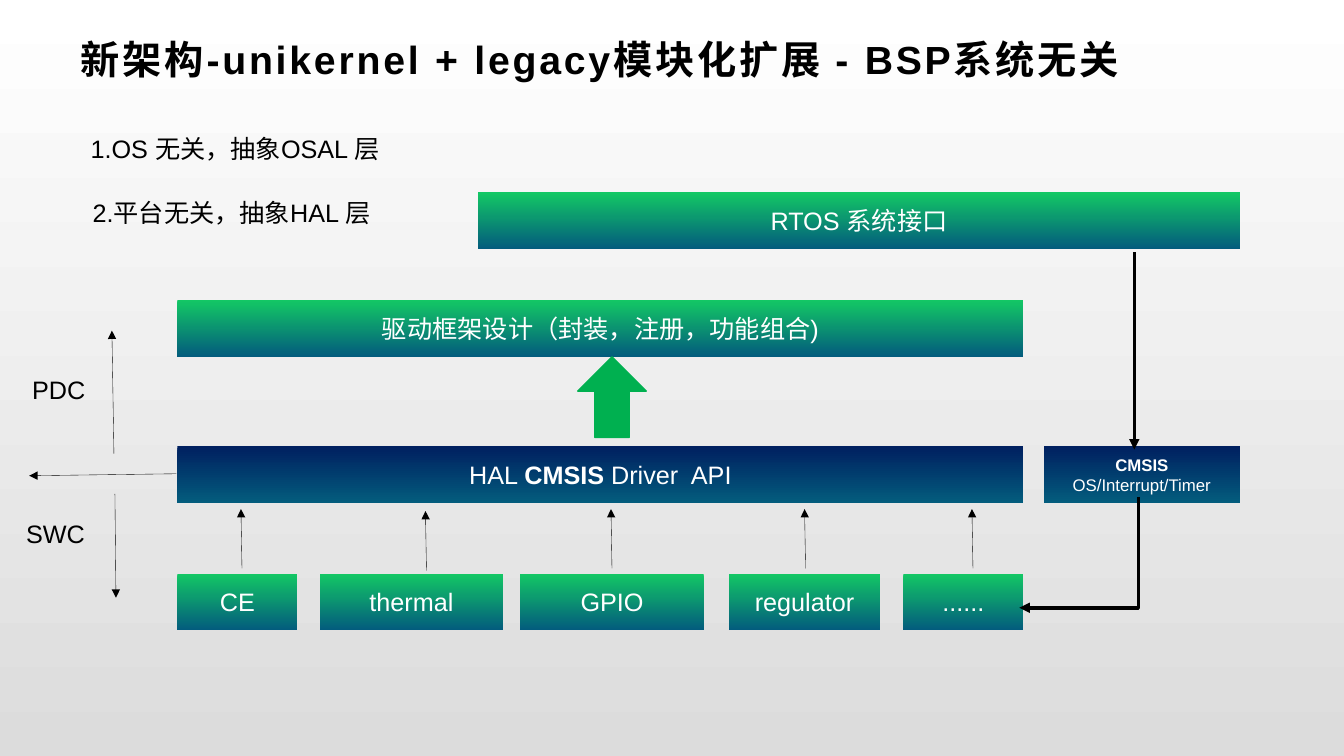
import pptx
import pptx.util
import pptx.dml.color
import pptx.enum.shapes
import pptx.enum.text
import pptx.oxml
import pptx.oxml.ns

Inches = pptx.util.Inches
Pt = pptx.util.Pt
RGBColor = pptx.dml.color.RGBColor
SHAPE = pptx.enum.shapes.MSO_SHAPE
LINK = pptx.enum.shapes.MSO_CONNECTOR
ALIGN = pptx.enum.text.PP_ALIGN
ANCHOR = pptx.enum.text.MSO_ANCHOR

BLACK = RGBColor(0x00, 0x00, 0x00)
WHITE = RGBColor(0xFF, 0xFF, 0xFF)
GREY = RGBColor(0xDC, 0xDC, 0xDC)
GREEN = RGBColor(0x13, 0xC7, 0x65)
NAVY = RGBColor(0x00, 0x20, 0x60)
TEAL = RGBColor(0x03, 0x5C, 0x7D)
ARROW = RGBColor(0x00, 0xB0, 0x50)

BAR_H = 0.56
LEFT, WIDTH = 1.76, 8.39
HAL_Y, MOD_Y = 4.43, 5.69

# name, left, width, arrow x, arrow top
MODULES = [
    ("CE", 1.76, 1.19, 2.4, 5.05),
    ("thermal", 3.17, 1.82, 4.23, 5.07),
    ("GPIO", 5.16, 1.82, 6.07, 5.05),
    ("regulator", 7.23, 1.5, 7.99, 5.05),
    ("......", 8.96, 1.19, 9.65, 5.05),
]
LABELS = [
    ("1.OS 无关，抽象OSAL 层", 0.8, 1.27, 3.38),
    ("2.平台无关，抽象HAL 层", 0.82, 1.91, 3.38),
    ("PDC", 0.22, 3.66, 0.83),
    ("SWC", 0.16, 5.09, 0.83),
]
AXES = [
    ((1.13, 4.5), (1.11, 3.28)),
    ((1.14, 4.9), (1.15, 5.93)),
    ((1.75, 4.7), (0.29, 4.72)),
]


def shade(fill, top, low):
    """Fill from the top colour down to the low one."""
    fill.gradient()
    fill.gradient_angle = 270
    for stop, color in zip(fill.gradient_stops, (top, low)):
        stop.color.rgb = color


def write(frame, parts, size, color):
    """Write one paragraph; every second part is bold if there are several."""
    frame.word_wrap = True
    para = frame.paragraphs[0]
    para.font.name = "Arial"
    para.font.size = Pt(size)
    para.font.color.rgb = color
    for text, bold in parts:
        run = para.add_run()
        run.text = text
        run.font.bold = bold
    return para


def add_text(slide, text, x, y, w, h=0.4, size=18, bold=False):
    box = slide.shapes.add_textbox(Inches(x), Inches(y), Inches(w), Inches(h))
    write(box.text_frame, [(text, bold)], size, BLACK)
    return box.text_frame


def add_title(slide, text):
    frame = add_text(slide, text, 0.69, 0.23, 12.1, 0.71, 28, True)
    frame.vertical_anchor = ANCHOR.MIDDLE
    frame.margin_left, frame.margin_right = Inches(0.11), Inches(0.08)
    frame.margin_top = frame.margin_bottom = Inches(0.04)
    frame.paragraphs[0].runs[0]._r.get_or_add_rPr().set("spc", "200")


def add_bar(slide, parts, x, y, w, top=GREEN, size=18):
    bar = slide.shapes.add_shape(
        SHAPE.RECTANGLE, Inches(x), Inches(y), Inches(w), Inches(BAR_H))
    bar.shadow.inherit = False
    shade(bar.fill, top, TEAL)
    bar.line.fill.background()
    bar.text_frame.vertical_anchor = ANCHOR.MIDDLE
    write(bar.text_frame, parts, size, WHITE).alignment = ALIGN.CENTER


def add_arrow(slide, start, end, width=0.25):
    line = slide.shapes.add_connector(
        LINK.STRAIGHT, *(Inches(v) for v in (*start, *end)))
    line.line.color.rgb = BLACK
    line.line.width = Pt(width)
    head = pptx.oxml.parse_xml(
        f'<a:tailEnd {pptx.oxml.ns.nsdecls("a")} type="triangle"/>')
    line.line._get_or_add_ln().append(head)
    line._element.spPr.append(pptx.oxml.parse_xml(
        f'<a:effectLst {pptx.oxml.ns.nsdecls("a")}/>'))
    return line


def add_bend(slide, start, end, width):
    """Arrow that runs down, then left: a one-corner elbow turned by 90°."""
    (x1, y1), (x2, y2) = start, end
    mid_x, mid_y = (x1 + x2) / 2, (y1 + y2) / 2
    half_w, half_h = (y2 - y1) / 2, (x1 - x2) / 2
    line = add_arrow(slide, (mid_x - half_w, mid_y - half_h),
                     (mid_x + half_w, mid_y + half_h), width)
    props = line._element.spPr
    props.find(pptx.oxml.ns.qn("a:prstGeom")).set("prst", "bentConnector2")
    props.find(pptx.oxml.ns.qn("a:xfrm")).set("rot", "5400000")


def add_up(slide):
    arrow = slide.shapes.add_shape(
        SHAPE.UP_ARROW, Inches(5.73), Inches(3.54), Inches(0.68), Inches(0.8))
    arrow.shadow.inherit = False
    arrow.fill.solid()
    arrow.fill.fore_color.rgb = ARROW
    arrow.line.color.rgb = ARROW
    arrow.line.width = Pt(1)


def main():
    deck = pptx.Presentation()
    deck.slide_width, deck.slide_height = Inches(13.33), Inches(7.5)
    slide = deck.slides.add_slide(deck.slide_layouts[6])
    shade(slide.background.fill, WHITE, GREY)

    add_title(slide, "新架构-unikernel + legacy模块化扩展 - BSP系统无关")
    for label in LABELS:
        add_text(slide, *label)

    add_bar(slide, [("RTOS 系统接口", False)], 4.74, 1.91, 7.56)
    add_bar(slide, [("驱动框架设计（封装，注册，功能组合)", False)],
            LEFT, 2.98, WIDTH)
    add_bar(slide, [("HAL ", False), ("CMSIS ", True), ("Driver  API", False)],
            LEFT, HAL_Y, WIDTH, NAVY)
    add_bar(slide, [("CMSIS ", True), ("OS/Interrupt/Timer", False)],
            10.35, HAL_Y, 1.95, NAVY, 12)
    add_up(slide)

    for name, x, w, mid, top in MODULES:
        add_bar(slide, [(name, False)], x, MOD_Y, w)
        add_arrow(slide, (mid, top + 0.59), (mid - 0.01, top))
    for start, end in AXES:
        add_arrow(slide, start, end)
    add_arrow(slide, (11.25, 2.5), (11.25, 4.46), 2.5)
    add_bend(slide, (11.29, 4.93), (10.11, 6.03), 2.5)

    deck.save("out.pptx")


if __name__ == "__main__":
    main()
